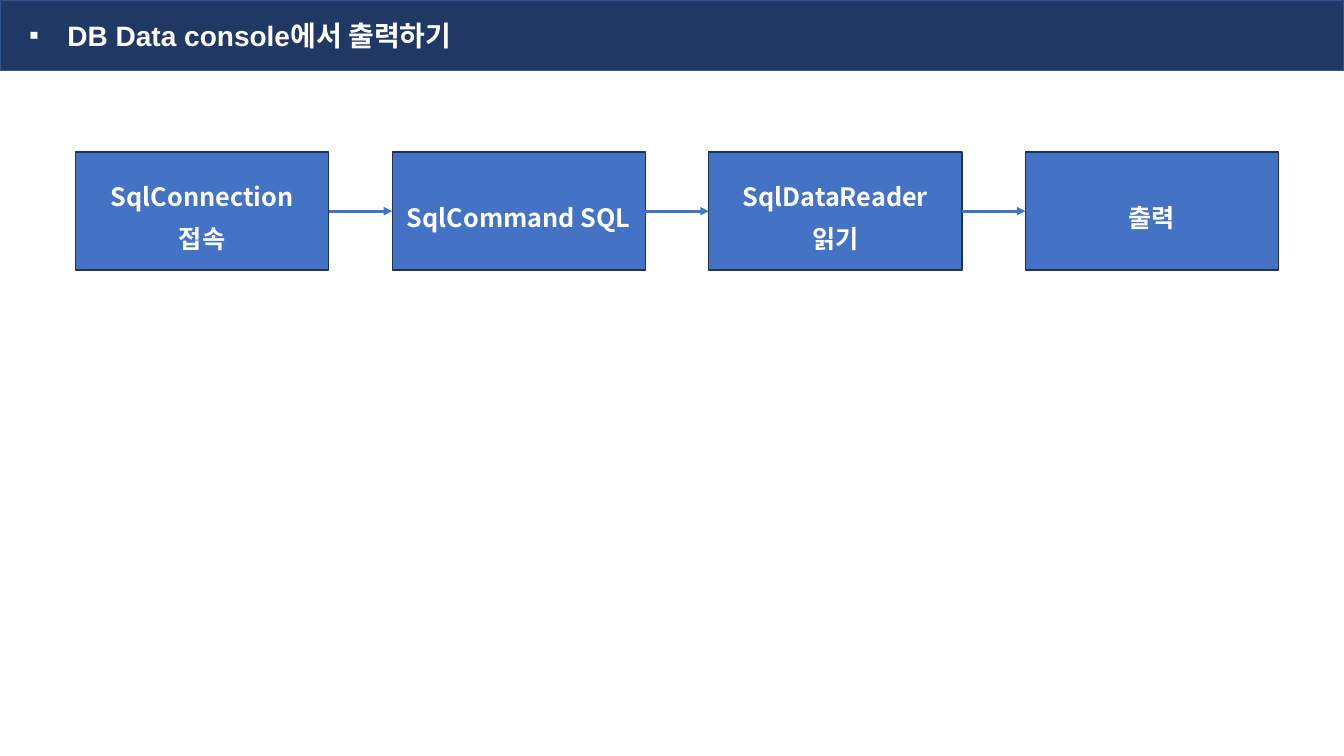
import pptx
import pptx.util
import pptx.dml.color
import pptx.enum.shapes
import pptx.enum.text
import pptx.oxml
import pptx.oxml.ns
from lxml import etree

Inches = pptx.util.Inches
Pt = pptx.util.Pt
RGBColor = pptx.dml.color.RGBColor
Align = pptx.enum.text.PP_ALIGN

WHITE = RGBColor(0xFF, 0xFF, 0xFF)
NAVY = RGBColor(0x20, 0x38, 0x64)
NAVY_EDGE = RGBColor(0x32, 0x54, 0x91)
BLUE = RGBColor(0x44, 0x72, 0xC4)
BLUE_EDGE = RGBColor(0x1E, 0x32, 0x56)

STEPS = ["SqlConnection\n접속", "SqlCommand SQL", "SqlDataReader\n읽기", "출력"]
STEP_LEFT, STEP_TOP, STEP_PITCH = 0.75, 1.51, 3.14
STEP_WIDTH, STEP_HEIGHT = 2.51, 1.17


def add_element(parent, tag, **attributes):
    return etree.SubElement(parent, pptx.oxml.ns.qn(tag), attributes)


class FlowSlide:
    title_font = "Arial"
    korean_font = "Noto Sans CJK KR"

    def __init__(self, slide):
        self.slide = slide

    def box(self, left, top, width, height, fill, edge):
        rectangle = self.slide.shapes.add_shape(
            pptx.enum.shapes.MSO_SHAPE.RECTANGLE,
            Inches(left), Inches(top), Inches(width), Inches(height))
        rectangle.shadow.inherit = False
        rectangle.fill.solid()
        rectangle.fill.fore_color.rgb = fill
        rectangle.line.color.rgb = edge
        rectangle.line.width = Pt(1)
        rectangle.text_frame.word_wrap = True
        rectangle.text_frame.vertical_anchor = pptx.enum.text.MSO_ANCHOR.MIDDLE
        return rectangle

    def format_paragraph(self, paragraph, alignment, font_name, size):
        paragraph.alignment = alignment
        for run in paragraph.runs:
            run.font.name = font_name
            run.font.size = Pt(size)
            run.font.bold = True
            run.font.color.rgb = WHITE
            add_element(run.font._element, "a:ea", typeface=self.korean_font)

    def title_bar(self, wording):
        bar = self.box(0, 0, 13.33, 0.7, NAVY, NAVY_EDGE)
        bar.text_frame.text = wording
        heading = bar.text_frame.paragraphs[0]
        properties = heading._p.get_or_add_pPr()
        properties.set("marL", str(Inches(0.57)))
        properties.set("indent", str(Inches(-0.38)))
        add_element(properties, "a:buFont", typeface=self.title_font)
        add_element(properties, "a:buChar", char="▪")
        self.format_paragraph(heading, Align.LEFT, self.title_font, 20)

    def step(self, left, wording):
        step_box = self.box(left, STEP_TOP, STEP_WIDTH, STEP_HEIGHT, BLUE, BLUE_EDGE)
        step_box.text_frame.text = wording
        for paragraph in step_box.text_frame.paragraphs:
            paragraph.line_spacing = Pt(30)
            self.format_paragraph(paragraph, Align.CENTER, self.korean_font, 18)
        return step_box

    def arrow(self, source, target):
        link = self.slide.shapes.add_connector(
            pptx.enum.shapes.MSO_CONNECTOR.STRAIGHT, 0, 0, 0, 0)
        link.begin_connect(source, 3)
        link.end_connect(target, 1)
        link.line.color.rgb = BLUE
        link.line.width = Pt(2)
        add_element(link.line._get_or_add_ln(), "a:tailEnd", type="triangle")
        add_element(link._element.spPr, "a:effectLst")


def main():
    presentation = pptx.Presentation()
    presentation.slide_width = Inches(13.33)
    presentation.slide_height = Inches(7.5)
    flow = FlowSlide(presentation.slides.add_slide(presentation.slide_layouts[6]))

    flow.title_bar("DB Data console에서 출력하기")
    steps = [flow.step(STEP_LEFT + index * STEP_PITCH, wording)
             for index, wording in enumerate(STEPS)]
    for source, target in zip(steps, steps[1:]):
        flow.arrow(source, target)

    presentation.save("out.pptx")


if __name__ == "__main__":
    main()
